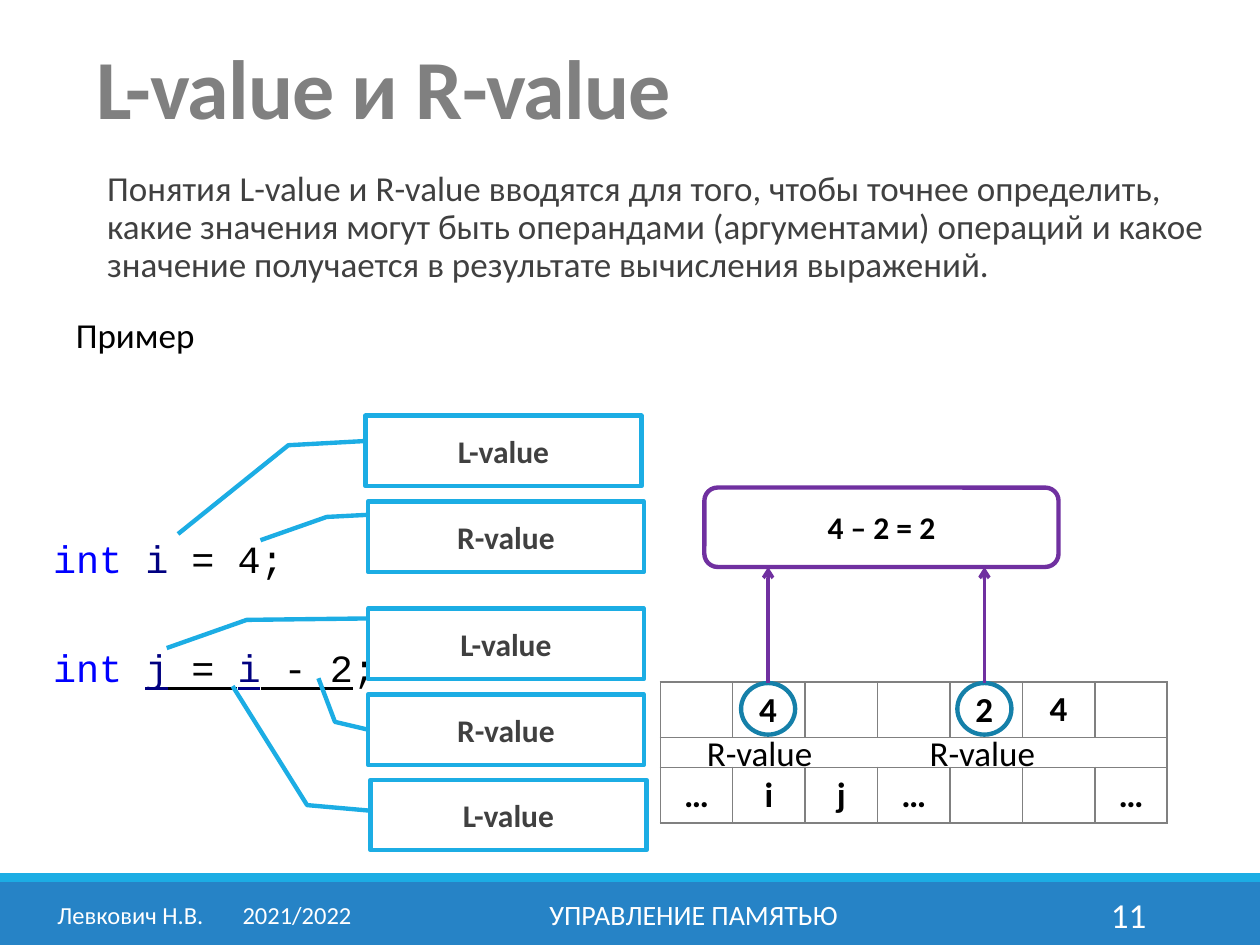
from lxml import etree
from pptx import Presentation
from pptx.dml.color import RGBColor
from pptx.enum.shapes import MSO_CONNECTOR, MSO_SHAPE
from pptx.enum.text import MSO_ANCHOR, PP_ALIGN
from pptx.oxml import parse_xml
from pptx.oxml.ns import nsdecls, qn
from pptx.util import Cm, Pt

WHITE = RGBColor(0xFF, 0xFF, 0xFF)
BLACK = RGBColor(0, 0, 0)
GRAY = RGBColor(0x80, 0x80, 0x80)
DARK_GRAY = RGBColor(0x40, 0x40, 0x40)
BLUE = RGBColor(0x26, 0x83, 0xC6)
CYAN = RGBColor(0x1C, 0xAD, 0xE4)
TEAL = RGBColor(0x15, 0x80, 0xA9)
PURPLE = RGBColor(0x70, 0x30, 0xA0)
KEYWORD = RGBColor(0, 0, 0xFF)
VARIABLE = RGBColor(0, 0, 0x80)
LEFT, CENTER, RIGHT = PP_ALIGN.LEFT, PP_ALIGN.CENTER, PP_ALIGN.RIGHT
TOP, MIDDLE, BOTTOM = MSO_ANCHOR.TOP, MSO_ANCHOR.MIDDLE, MSO_ANCHOR.BOTTOM
RECTANGLE, ROUNDED = MSO_SHAPE.RECTANGLE, MSO_SHAPE.ROUNDED_RECTANGLE
OVAL, CALLOUT = MSO_SHAPE.OVAL, MSO_SHAPE.LINE_CALLOUT_2
STRAIGHT = MSO_CONNECTOR.STRAIGHT

prs = Presentation()
prs.slide_width, prs.slide_height = Cm(25.4), Cm(19.05)
slide = prs.slides.add_slide(prs.slide_layouts[6])


def add_run(paragraph, text, size=20, color=BLACK, bold=False, underline=False,
            font="Calibri", align=LEFT):
    paragraph.alignment = align
    run = paragraph.add_run()
    run.text = text
    run.font.name, run.font.size = font, Pt(size)
    run.font.bold, run.font.underline = bold, underline
    run.font.color.rgb = color
    return run


def add_box(left, top, width, height, kind=None, fill=None, line=None, anchor=MIDDLE):
    """Add a shape, or a text box when no kind is given; lengths in cm."""
    place = Cm(left), Cm(top), Cm(width), Cm(height)
    if kind is None:
        box = slide.shapes.add_textbox(*place)
    else:
        box = slide.shapes.add_shape(kind, *place)
        box.shadow.inherit = False
    if fill is None:
        box.fill.background()
    else:
        box.fill.solid()
        box.fill.fore_color.rgb = fill
    if line is None:
        box.line.fill.background()
    else:
        box.line.color.rgb, box.line.width = line, Pt(2.5)
    box.text_frame.word_wrap = True
    box.text_frame.vertical_anchor = anchor
    return box


# Footer
add_box(0, 17.78, 25.4, 1.27, RECTANGLE, BLUE)
add_box(0, 17.6, 25.4, 0.18, RECTANGLE, CYAN)
author = add_box(0.81, 17.93, 6.63, 1.02).text_frame.paragraphs[0]
tabs = etree.SubElement(author._p.get_or_add_pPr(), qn("a:tabLst"))
etree.SubElement(tabs, qn("a:tab"), pos=str(Cm(3.73)), algn="l")
add_run(author, "Левкович Н.В.\t2021/2022", 14, WHITE, align=CENTER)
for left, width, text, size, align in (
    (7.67, 12.62, "УПРАВЛЕНИЕ ПАМЯТЬЮ", 16, CENTER),
    (20.62, 2.74, "11", 20, RIGHT),
):
    footer = add_box(left, 17.93, width, 1.02).text_frame
    add_run(footer.paragraphs[0], text, size, WHITE, align=align)

# Title and definition
title = add_box(1.7, 0.33, 22.28, 2.54, anchor=BOTTOM).text_frame.paragraphs[0]
title.line_spacing = 0.85
heading = add_run(title, "L-value и R-value", 48, GRAY, bold=True)
heading._r.get_or_add_rPr().set("spc", "-50")

definition = add_box(0.89, 3.33, 23.8, 3, anchor=TOP).text_frame
definition.margin_left, definition.margin_right = Cm(1.27), 0
definition.paragraphs[0].line_spacing = 0.9
add_run(definition.paragraphs[0],
        "Понятия L-value и R-value вводятся для того, чтобы точнее определить, "
        "какие значения могут быть операндами (аргументами) операций и какое "
        "значение получается в результате вычисления выражений.", color=DARK_GRAY)

# Memory table
MEMORY = [
    ["", "", "", "", "2", "4", ""],
    [""] * 7,
    ["…", "i", "j", "…", "", "", "…"],
]
ROW_HEIGHTS = [1.12, 0.6, 1.12]
memory = slide.shapes.add_table(3, 7, Cm(13.31), Cm(13.75), Cm(10.22), Cm(2.84)).table
memory.first_row = memory.horz_banding = False
for column in memory.columns:
    column.width = Cm(1.46)
for r, (values, height) in enumerate(zip(MEMORY, ROW_HEIGHTS)):
    memory.rows[r].height = Cm(height)
    for c, value in enumerate(values):
        cell = memory.cell(r, c)
        if r:
            cell.fill.solid()
            cell.fill.fore_color.rgb = WHITE
        else:
            cell.fill.background()
        paragraph = cell.text_frame.paragraphs[0]
        if value:
            add_run(paragraph, value, bold=True, align=CENTER)
        else:
            etree.SubElement(paragraph._p, qn("a:endParaRPr"), sz="800")
        for position, side in enumerate("LRTB"):
            hidden = r == 1 and (side == "L" and c > 0 or side == "R" and c < 6)
            paint = "<a:noFill/>" if hidden else (
                f'<a:solidFill><a:srgbClr val="{GRAY}"/></a:solidFill>')
            border = parse_xml(
                f'<a:ln{side} {nsdecls("a")} w="{Pt(1)}">{paint}</a:ln{side}>')
            cell._tc.get_or_add_tcPr().insert(position, border)

# Subtraction: operands read from memory
result = add_box(14.2, 9.83, 7.14, 1.6, ROUNDED, line=PURPLE)
add_run(result.text_frame.paragraphs[0], "4 – 2 = 2", 18, bold=True, align=CENTER)
for value, ring_left, label_left in (("4", 14.94, 14), ("2", 19.3, 18.49)):
    ring = add_box(ring_left, 13.77, 1.09, 1.04, OVAL, WHITE, TEAL)
    ring.text_frame.word_wrap = False
    add_run(ring.text_frame.paragraphs[0], value, bold=True, align=CENTER)
    label = add_box(label_left, 14.63, 3.51, 1.12, anchor=TOP).text_frame
    add_run(label.paragraphs[0], "R-value")
    center = Cm(ring_left + 1.09 / 2)
    arrow = slide.shapes.add_connector(STRAIGHT, center, Cm(11.43), center, Cm(13.77))
    arrow.line.color.rgb, arrow.line.width = PURPLE, Pt(2)
    etree.SubElement(arrow.line._get_or_add_ln(), qn("a:headEnd"), type="arrow")
    etree.SubElement(arrow._element.spPr, qn("a:effectLst"))

# Code example
example = add_box(1.07, 6.3, 12.7, 7.65, anchor=TOP).text_frame
example.margin_left = 0
caption = example.paragraphs[0]
caption.line_spacing, caption.space_after = 0.9, Pt(2)
caption._p.get_or_add_pPr().set("marL", str(Cm(0.46)))
add_run(caption, "Пример")
CODE = [
    (100, [("int", KEYWORD, False), (" ", BLACK, False), ("i", VARIABLE, False),
           (" = 4;", BLACK, False)]),
    (36, [("int", KEYWORD, False), (" ", BLACK, False), ("j", VARIABLE, True),
          (" = ", BLACK, True), ("i", VARIABLE, True), (" - 2", BLACK, True),
          (";", BLACK, False)]),
]
for space_before, tokens in CODE:
    code_line = example.add_paragraph()
    code_line.space_before = Pt(space_before)
    for token, color, underline in tokens:
        add_run(code_line, token, 22, color, underline=underline, font="Courier New")

# Callouts: text, left, top, leader points as y, x fractions of the box
CALLOUTS = [
    ("L-value", 7.37, 8.38, (0.36, 0, 0.42, -0.28, 1.68, -0.68)),
    ("R-value", 7.42, 14, (0.5, 0, 0.39, -0.12, -0.23, -0.18)),
    ("L-value", 7.42, 12.27, (0.14, 0, 0.16, -0.44, 0.56, -0.73)),
    ("L-value", 7.47, 15.72, (0.44, 0, 0.36, -0.23, -1.33, -0.5)),
    ("R-value", 7.42, 10.11, (0.19, 0, 0.22, -0.15, 0.55, -0.39)),
]
for text, left, top, leader in CALLOUTS:
    callout = add_box(left, top, 5.56, 1.42, CALLOUT, WHITE, CYAN)
    for index, fraction in enumerate(leader):
        callout.adjustments[index] = fraction
    add_run(callout.text_frame.paragraphs[0], text, 18, DARK_GRAY, bold=True, align=CENTER)

prs.save("out.pptx")
